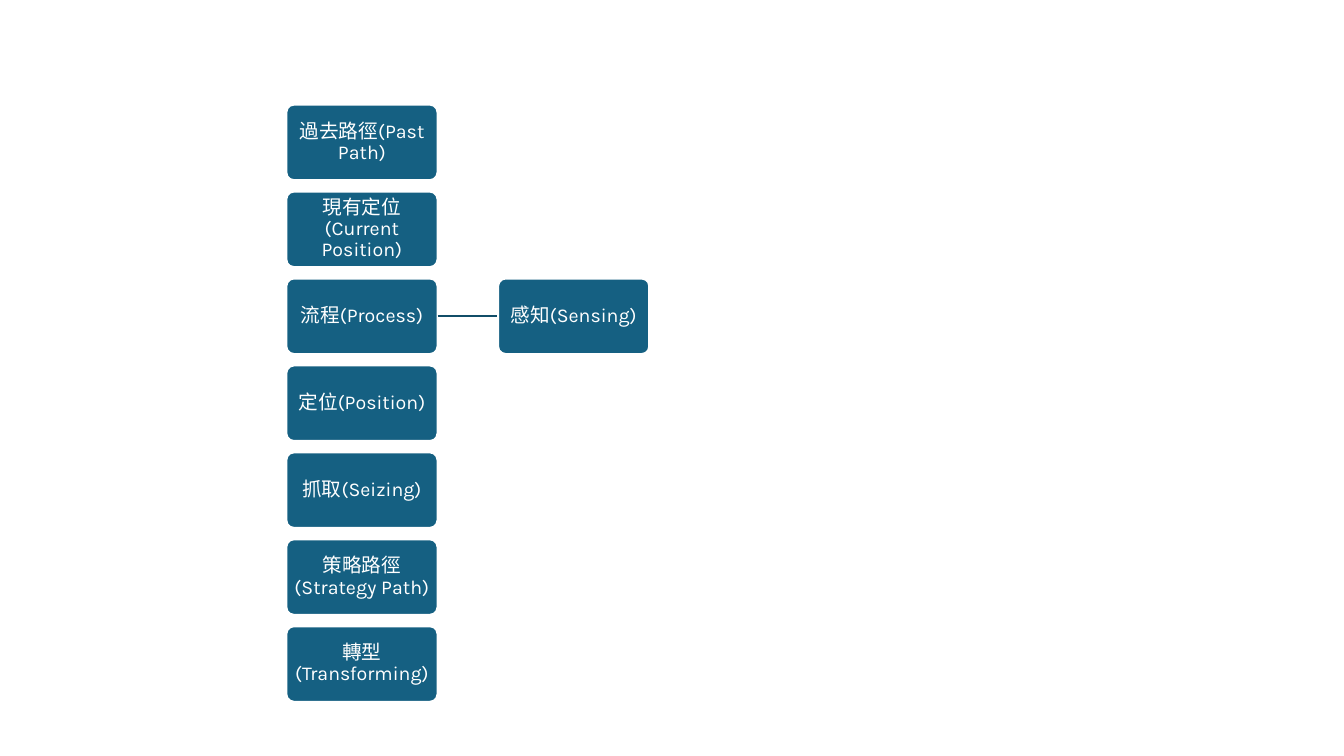
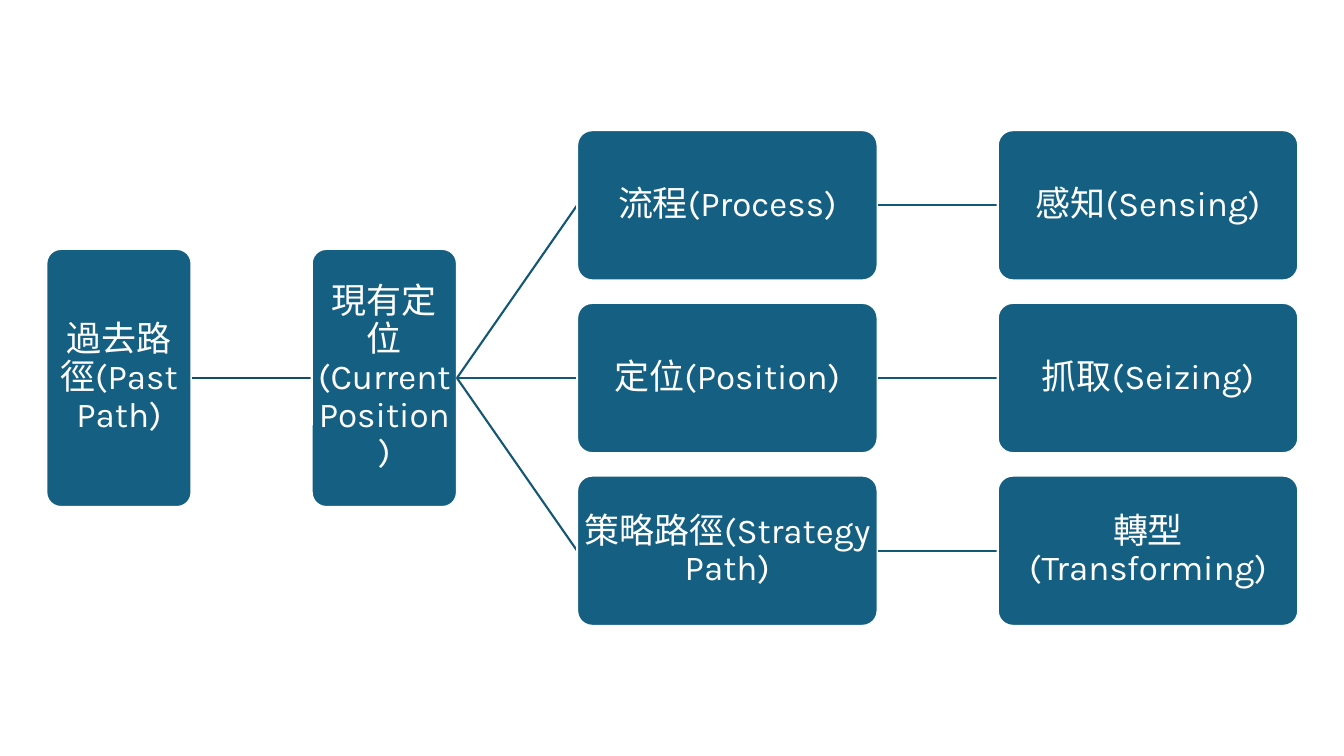
from dataclasses import dataclass

from pptx import Presentation
from pptx.dml.color import RGBColor as Rgb
from pptx.enum.shapes import MSO_CONNECTOR as Link, MSO_SHAPE as Shape
from pptx.enum.text import MSO_ANCHOR as Anchor, PP_ALIGN as Align
from pptx.oxml.ns import qn
from pptx.util import Inches, Pt


@dataclass(frozen=True)
class Theme:
    fill: Rgb = Rgb(0x15, 0x60, 0x82)
    paper: Rgb = Rgb(0xFF, 0xFF, 0xFF)
    dark: Rgb = Rgb(0x11, 0x4D, 0x68)
    mid: Rgb = Rgb(0x13, 0x57, 0x76)
    font: str = "Karla"
    small: int = 14
    large: int = 25
    rule: float = 1.5
    round: float = 0.1
    pad: float = 0.01


# Wording shared by both slides
PAST, NOW = "過去路徑(Past Path)", "現有定位(Current Position)"
STEPS = ["流程(Process)", "定位(Position)", "策略路徑(Strategy Path)"]
SKILLS = ["感知(Sensing)", "抓取(Seizing)", "轉型(Transforming)"]


def apply(obj, **values):
    for name, value in values.items():
        setattr(obj, name, value)


class Deck:
    """A tree of boxes: all gaps follow from the width of a full box."""

    def __init__(self, theme):
        self.theme = theme
        self.prs = Presentation()
        apply(self.prs, slide_width=Inches(13.33), slide_height=Inches(7.5))

    def start(self, unit, mid, size):
        """Begin a slide; unit is the box width, mid the height of row 0."""
        self.slide = self.prs.slides.add_slide(self.prs.slide_layouts[6])
        self.unit, self.mid, self.size = unit, mid, size
        self.gap = 0.4 * unit
        self.row = 0.575 * unit

    def line(self, start, end, color):
        ends = [Inches(v) for v in (*start, *end)]
        link = self.slide.shapes.add_connector(Link.STRAIGHT, *ends)
        link.line.width = Pt(self.theme.rule)
        link.line.color.rgb = color
        props = link._element.spPr
        props.append(props.makeelement(qn("a:effectLst"), {}))

    def box(self, text, left, row, wide=None, tall=None):
        """Draw a box centred on a row; return the middle of its right side."""
        wide, tall = wide or self.unit, tall or self.unit / 2
        y = self.mid + row * self.row
        area = [Inches(v) for v in (left, y - tall / 2, wide, tall)]
        box = self.slide.shapes.add_shape(Shape.ROUNDED_RECTANGLE, *area)
        box.adjustments[0] = self.theme.round
        box.shadow.inherit = False
        box.fill.solid()
        box.fill.fore_color.rgb = self.theme.fill
        box.line.color.rgb = self.theme.paper
        box.line.width = Pt(self.theme.rule)
        # Text
        frame, pad = box.text_frame, Inches(self.theme.pad)
        apply(frame, text=text, word_wrap=True, vertical_anchor=Anchor.MIDDLE,
              margin_left=pad, margin_right=pad, margin_top=pad, margin_bottom=pad)
        para = frame.paragraphs[0]
        apply(para, alignment=Align.CENTER, line_spacing=0.9)
        font = para.runs[0].font
        apply(font, name=self.theme.font, size=Pt(self.size))
        font.color.rgb = self.theme.paper
        return left + wide, y

    def child(self, text, root, row, color, **size):
        """Draw a box one gap to the right of root, joined to it by a line."""
        left = root[0] + self.gap
        self.line(root, (left, self.mid + row * self.row), color)
        return self.box(text, left, row, **size)


def stack(deck):
    look = deck.theme
    deck.start(unit=1.5, mid=4, size=look.small)
    names = [PAST, NOW, *STEPS[:2], SKILLS[1], STEPS[2], SKILLS[2]]
    for row, name in enumerate(names, -3):
        end = deck.box(name, 2.84, row)
        if name == STEPS[0]:
            deck.child(SKILLS[0], end, row, look.dark)


def tree(deck):
    look = deck.theme
    deck.start(unit=2.98, mid=3.75, size=look.large)
    slim = {"wide": 1.44, "tall": 2.56}
    past = deck.box(PAST, 0.46, 0, **slim)
    now = deck.child(NOW, past, 0, look.dark, **slim)
    # Three branches
    for row, (step, skill) in enumerate(zip(STEPS, SKILLS), -1):
        end = deck.child(step, now, row, look.mid)
        deck.child(skill, end, row, look.mid)


def main():
    deck = Deck(Theme())
    stack(deck)
    tree(deck)
    deck.prs.save("out.pptx")


if __name__ == "__main__":
    main()
